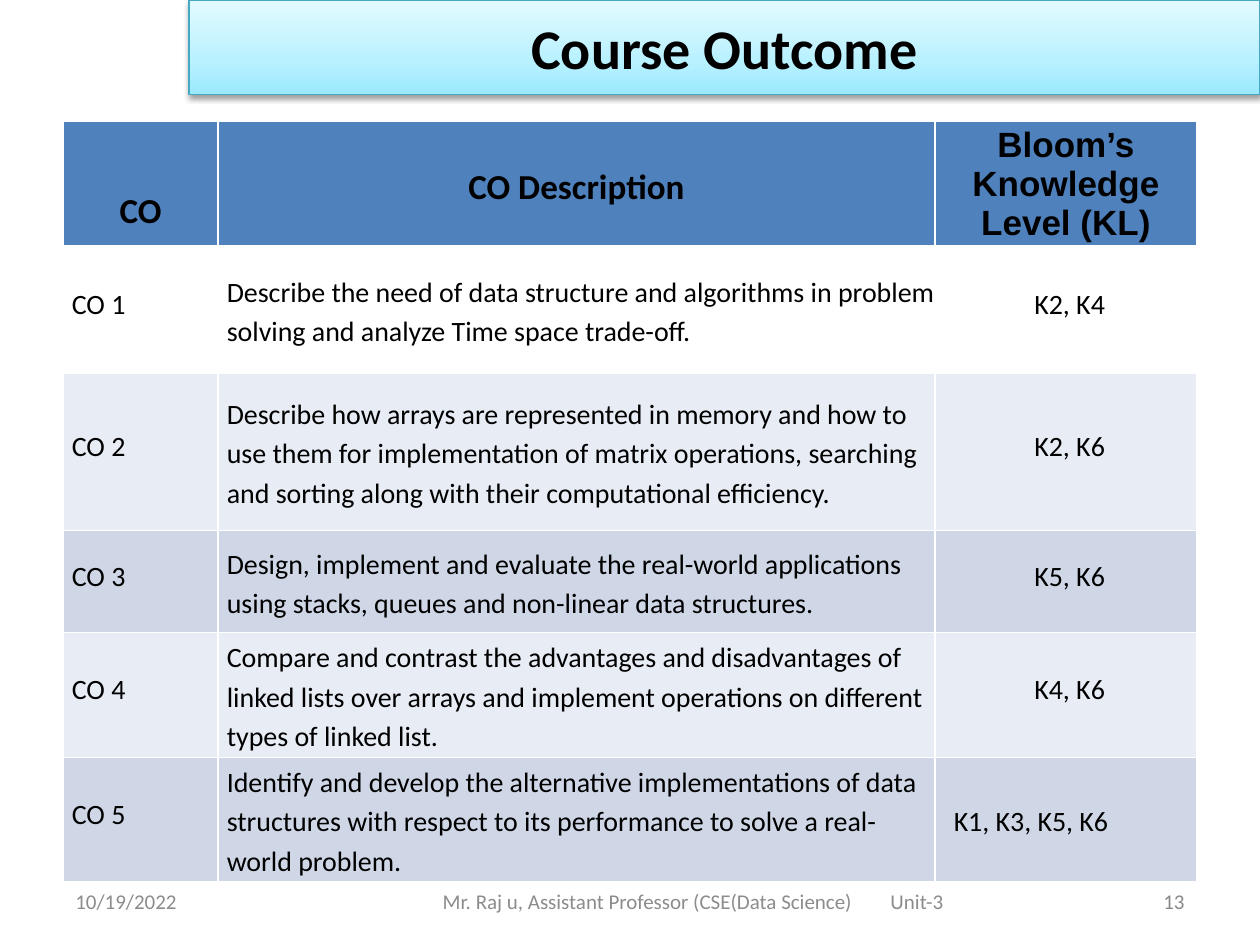
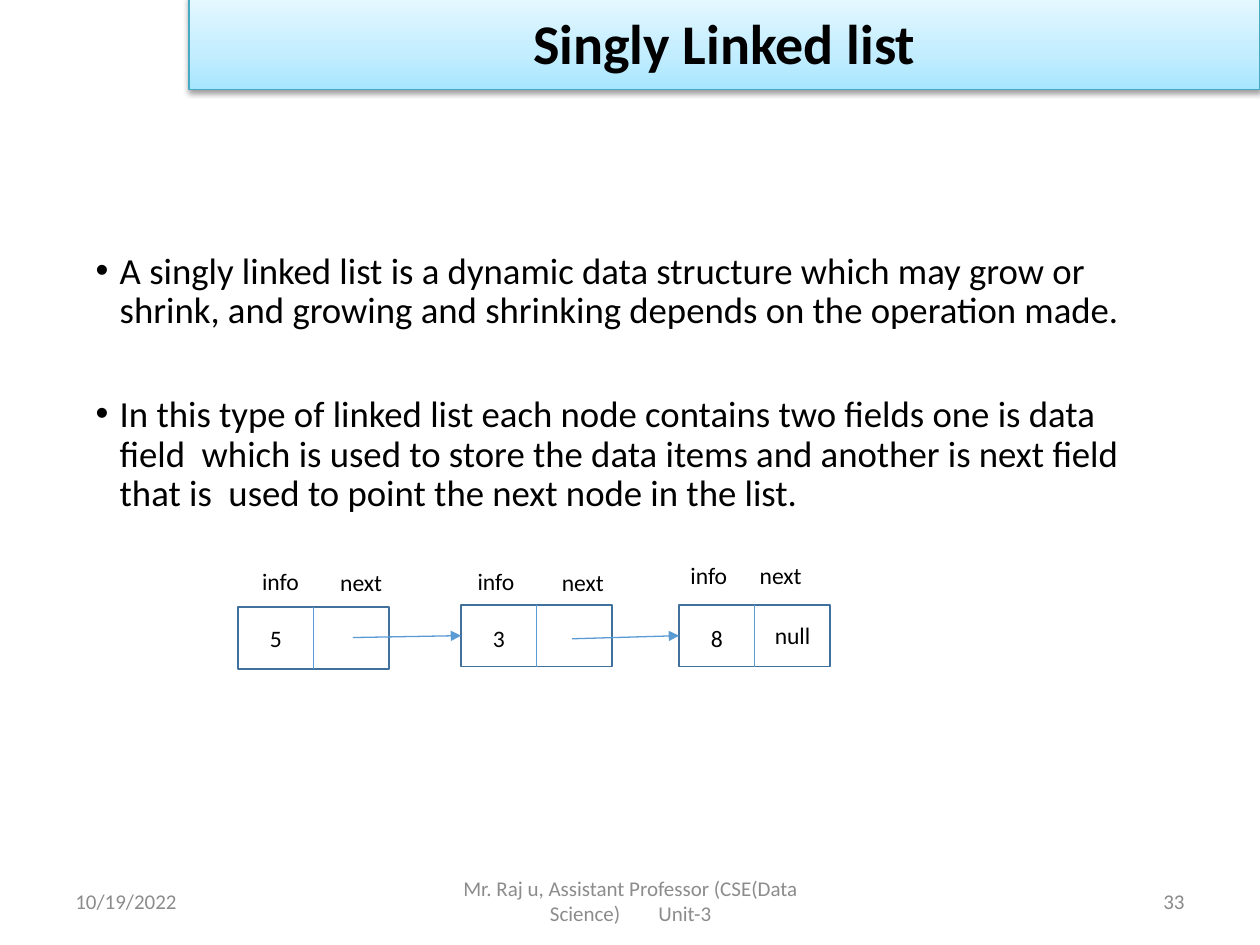
import copy

import lxml.etree
import pptx
import pptx.dml.color
import pptx.enum.dml
import pptx.enum.shapes
import pptx.enum.text
import pptx.oxml.ns
import pptx.util

Pt = pptx.util.Pt
qn = pptx.oxml.ns.qn
ALIGN = pptx.enum.text.PP_ALIGN
MIDDLE = pptx.enum.text.MSO_ANCHOR.MIDDLE
TOP = pptx.enum.text.MSO_ANCHOR.TOP

SLIDE_W, SLIDE_H = pptx.util.Inches(10), pptx.util.Inches(7.5)
COLUMNS, ROWS = 100, 75

BLACK, WHITE, GREY = "000000", "FFFFFF", "8C8C8C"
HEADER_BLUE, BAND_LIGHT, BAND_DARK = "4F81BD", "E8ECF4", "CFD7E7"
NODE_LINE, LINK_BLUE = "41709C", "5B9BD4"

TITLE_FONT = {"name": "Calibri", "size": Pt(32), "bold": True}
FOOTER_FONT = {"name": "Calibri", "size": Pt(12)}
HEAD_FONT = {"name": "Calibri", "size": Pt(20), "bold": True}
CELL_FONT = {"name": "Calibri", "size": Pt(16), "bold": False}
BODY_FONT = {"name": "Calibri", "size": Pt(21)}
LABEL_FONT = {"name": "Calibri", "size": Pt(13.5)}

OUTCOMES = [
    ("CO 1", "Describe the need of data structure and algorithms in problem solving "
             "and analyze Time space trade-off.", "K2, K4"),
    ("CO 2", "Describe how arrays are represented in memory and how to use them for "
             "implementation of matrix operations, searching and sorting along with "
             "their computational efficiency.", "K2, K6"),
    ("CO 3", "Design, implement and evaluate the real-world applications using stacks, "
             "queues and non-linear data structures.", "K5, K6"),
    ("CO 4", "Compare and contrast the advantages and disadvantages of linked lists over "
             "arrays and implement operations on different types of linked list.", "K4, K6"),
    ("CO 5", "Identify and develop the alternative implementations of data structures "
             "with respect to its performance to solve a real-world problem.",
     "K1, K3, K5, K6"),
]

LIST_POINTS = [
    "A singly linked list is a dynamic data structure which may grow or shrink, "
    "and growing and shrinking depends on the operation made.",
    "In this type of linked list each node contains two fields one is data field  which "
    "is used to store the data items and another is next field that is  used to point "
    "the next node in the list.",
]


def rgb(color):
    return pptx.dml.color.RGBColor.from_string(color)


def col(n):
    return round(SLIDE_W * n / COLUMNS)


def row(n):
    return round(SLIDE_H * n / ROWS)


def area(x, y, w, h):
    return col(x), row(y), col(w), row(h)


def assign(obj, values):
    for name, value in values.items():
        setattr(obj, name, value)


def add_run(p, text, font, color=BLACK):
    r = p.add_run()
    r.text = text
    assign(r.font, font)
    r.font.color.rgb = rgb(color)
    return r


def indent(p, left, first=0):
    pPr = p._p.get_or_add_pPr()
    pPr.set("marL", str(col(left)))
    pPr.set("indent", str(col(first)))
    return pPr


def set_frame(tf, anchor, x=0, y=0):
    assign(tf, {"word_wrap": True, "vertical_anchor": anchor, "margin_left": col(x),
                "margin_right": col(x), "margin_top": row(y), "margin_bottom": row(y)})


def add_text(slide, box, text, font, color=BLACK, align=ALIGN.LEFT, anchor=TOP, inset=(0, 0.1)):
    tf = slide.shapes.add_textbox(*area(*box)).text_frame
    set_frame(tf, anchor, *inset)
    p = tf.paragraphs[0]
    p.alignment = align
    add_run(p, text, font, color)
    return p


def add_shadow(sp):
    effects = lxml.etree.SubElement(sp._element.spPr, qn("a:effectLst"))
    shadow = lxml.etree.SubElement(effects, qn("a:outerShdw"), blurRad="40000", dist="20000",
                                   dir="5400000", rotWithShape="0")
    black = lxml.etree.SubElement(shadow, qn("a:srgbClr"), val=BLACK)
    lxml.etree.SubElement(black, qn("a:alpha"), val="38000")


def add_title(slide, text, top, colors, line):
    sp = slide.shapes.title
    assign(sp, dict(zip(("left", "top", "width", "height"), area(15, top, 85, 7.5))))
    sp.fill.gradient()
    sp.fill.gradient_angle = 90
    stops = next(sp._element.iter(qn("a:gsLst")))
    stops.insert(1, copy.deepcopy(stops[0]))
    for stop, color, position in zip(sp.fill.gradient_stops, colors, (0, 0.35, 1)):
        stop.color.rgb = rgb(color)
        stop.position = position
    sp.line.color.rgb = rgb(line)
    sp.line.width = Pt(0.75)
    add_shadow(sp)
    set_frame(sp.text_frame, MIDDLE, 1, 0.5)
    sp.text_frame.auto_size = pptx.enum.text.MSO_AUTO_SIZE.NONE
    p = sp.text_frame.paragraphs[0]
    p.alignment = ALIGN.CENTER
    add_run(p, text, TITLE_FONT)


def add_footer(slide, number, x, width):
    def part(left, w, text, color, align):
        return add_text(slide, (left, 69.5, w, 4), text, FOOTER_FONT, color, align, MIDDLE, (1, 0.5))

    part(5, 23.3, "10/19/2022", GREY, ALIGN.LEFT)
    p = part(x, width, "Mr. Raj u, Assistant Professor (CSE(Data Science)", GREY, ALIGN.CENTER)
    gap = add_run(p, " ", FOOTER_FONT, GREY)
    gap.font._element.set("spc", "1900")
    add_run(p, "Unit-3", FOOTER_FONT, GREY)
    part(71.7, 23.3, number, "898989", ALIGN.RIGHT)


def new_slide(prs, title, top, colors, line, number, footer_x, footer_width):
    slide = prs.slides.add_slide(prs.slide_layouts[5])
    add_title(slide, title, top, colors, line)
    add_footer(slide, number, footer_x, footer_width)
    return slide


def set_borders(cell, bottom):
    tcPr = cell._tc.get_or_add_tcPr()
    for side, width in (("L", 1), ("R", 1), ("T", 1), ("B", bottom)):
        ln = lxml.etree.SubElement(tcPr, qn(f"a:ln{side}"), w=str(Pt(width)))
        fill = lxml.etree.SubElement(ln, qn("a:solidFill"))
        lxml.etree.SubElement(fill, qn("a:srgbClr"), val=WHITE)


def fill_cell(cell, text, font, fill, spacing, align=ALIGN.LEFT, margin=0, bottom=1):
    set_borders(cell, bottom)
    cell.fill.solid()
    cell.fill.fore_color.rgb = rgb(fill)
    assign(cell, {"vertical_anchor": MIDDLE, "margin_left": col(margin),
                  "margin_right": col(margin), "margin_top": 0, "margin_bottom": 0})
    p = cell.text_frame.paragraphs[0]
    assign(p, {"alignment": align, "line_spacing": spacing})
    add_run(p, text, font)
    return p


def add_outcome_table(slide):
    widths, heights = (12.3, 56.9, 20.8), (9.5, 10, 12.5, 8.1, 9.9, 9.9)
    table = slide.shapes.add_table(len(heights), len(widths),
                                   *area(5, 9.6, sum(widths), sum(heights))).table
    table.horz_banding = False
    for column, w in zip(table.columns, widths):
        column.width = col(w)
    for line, h in zip(table.rows, heights):
        line.height = row(h)

    arial = {**HEAD_FONT, "name": "Arial"}
    heads = (("CO", HEAD_FONT, 1.15), ("CO Description", HEAD_FONT, 1.15),
             ("Bloom’s Knowledge Level (KL)", arial, 1.0))
    for c, (text, font, spacing) in enumerate(heads):
        fill_cell(table.cell(0, c), text, font, HEADER_BLUE, spacing, ALIGN.CENTER, 0.7, 3)
    table.cell(0, 0).margin_top = row(3.9)

    fills = (WHITE, BAND_LIGHT, BAND_DARK, BAND_LIGHT, BAND_DARK)
    for n, ((code, description, levels), fill) in enumerate(zip(OUTCOMES, fills), 1):
        indent(fill_cell(table.cell(n, 0), code, CELL_FONT, fill, Pt(13.8)), 0.7)
        indent(fill_cell(table.cell(n, 1), description, CELL_FONT, fill, 1.15), 0.7)
        if n < len(OUTCOMES):
            p = fill_cell(table.cell(n, 2), levels, CELL_FONT, fill, Pt(13.8), ALIGN.CENTER)
            indent(p, 0.6)
        else:
            indent(fill_cell(table.cell(n, 2), levels, CELL_FONT, fill, 1.15), 1.7, -0.2)


def add_bullets(slide, box, points):
    tf = slide.shapes.add_textbox(*area(*box)).text_frame
    set_frame(tf, TOP, 0, 0.5)
    for n, text in enumerate(points):
        p = tf.add_paragraph() if n else tf.paragraphs[0]
        assign(p, {"line_spacing": Pt(22.6), "space_before": Pt(36.8 if n else 0)})
        pPr = indent(p, 2, -1.9)
        lxml.etree.SubElement(pPr, qn("a:buFont"), typeface="Arial")
        lxml.etree.SubElement(pPr, qn("a:buChar"), char="•")
        add_run(p, text, BODY_FONT)


def add_line(slide, width, start=(0, 0), end=(0, 0)):
    cn = slide.shapes.add_connector(pptx.enum.shapes.MSO_CONNECTOR.STRAIGHT,
                                    col(start[0]), row(start[1]), col(end[0]), row(end[1]))
    cn.line.color.rgb = rgb(LINK_BLUE)
    cn.line.width = Pt(width)
    lxml.etree.SubElement(cn._element.spPr, qn("a:effectLst"))
    return cn


def add_node(slide, x, y, value, pointer):
    w, h = 12, 4.9
    sp = slide.shapes.add_shape(pptx.enum.shapes.MSO_SHAPE.RECTANGLE, *area(x, y, w, h))
    sp.shadow.inherit = False
    sp.fill.background()
    sp.line.color.rgb = rgb(NODE_LINE)
    sp.line.width = Pt(0.96)
    divider = add_line(slide, 0.48)
    divider.begin_connect(sp, 0)
    divider.end_connect(sp, 2)
    add_text(slide, (x, 49.4, w / 2, 2.4), value, LABEL_FONT, align=ALIGN.CENTER)
    if pointer:
        add_text(slide, (x + w / 2, 49.2, w / 2, 2.4), pointer, LABEL_FONT, align=ALIGN.CENTER)
    return sp


def add_link(slide, start, node):
    cn = add_line(slide, 0.75, start, start)
    cn.end_connect(node, 1)
    ln = cn.line._get_or_add_ln()
    lxml.etree.SubElement(ln, qn("a:tailEnd"), type="triangle", w="med", len="med")


def add_linked_list(slide):
    nodes = [add_node(slide, x, y, value, pointer) for x, y, value, pointer in
             ((18.9, 48.2, "5", ""), (36.6, 48, "3", ""), (53.9, 48, "8", "null"))]
    for start, node in zip(((28, 50.6), (45.4, 50.7)), nodes[1:]):
        add_link(slide, start, node)
    labels = {"info": ((20.8, 44.9), (37.9, 44.9), (54.8, 44.4)),
              "next": ((27, 45), (44.6, 45), (60.3, 44.4))}
    for text, places in labels.items():
        for x, y in places:
            add_text(slide, (x, y, 4, 2.4), text, LABEL_FONT)


def main():
    prs = pptx.Presentation()
    prs.slide_width, prs.slide_height = SLIDE_W, SLIDE_H

    outcome = new_slide(prs, "Course Outcome", 0, ("9BE9FF", "B8F1FF", "E2FBFF"), "45A9C4",
                        "13", 27.5, 55)
    add_outcome_table(outcome)

    linked = new_slide(prs, "Singly Linked list", -0.4, ("A7E6FF", "C1EDFF", "E7F8FF"), "46AAC5",
                       "33", 34.2, 31.7)
    add_bullets(linked, (7.5, 19.5, 84.2, 21.8), LIST_POINTS)
    add_linked_list(linked)

    prs.save("out.pptx")


if __name__ == "__main__":
    main()
